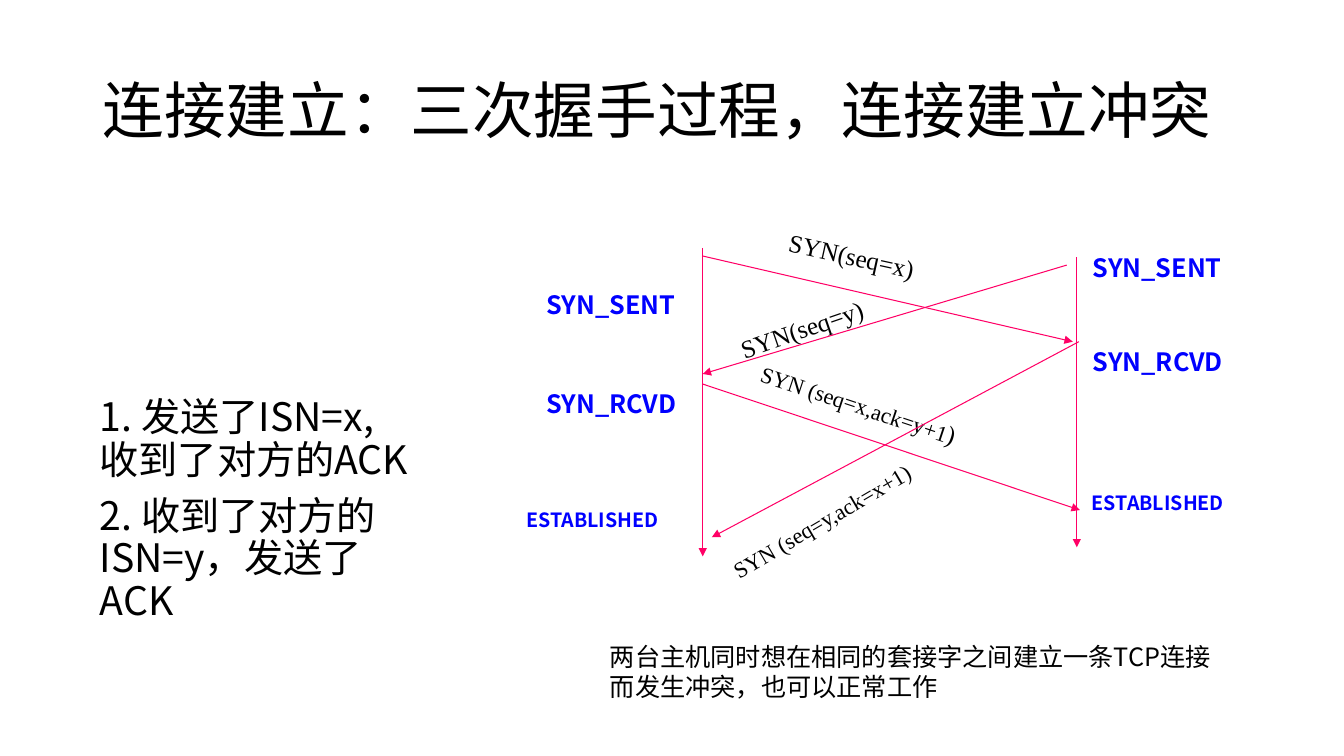
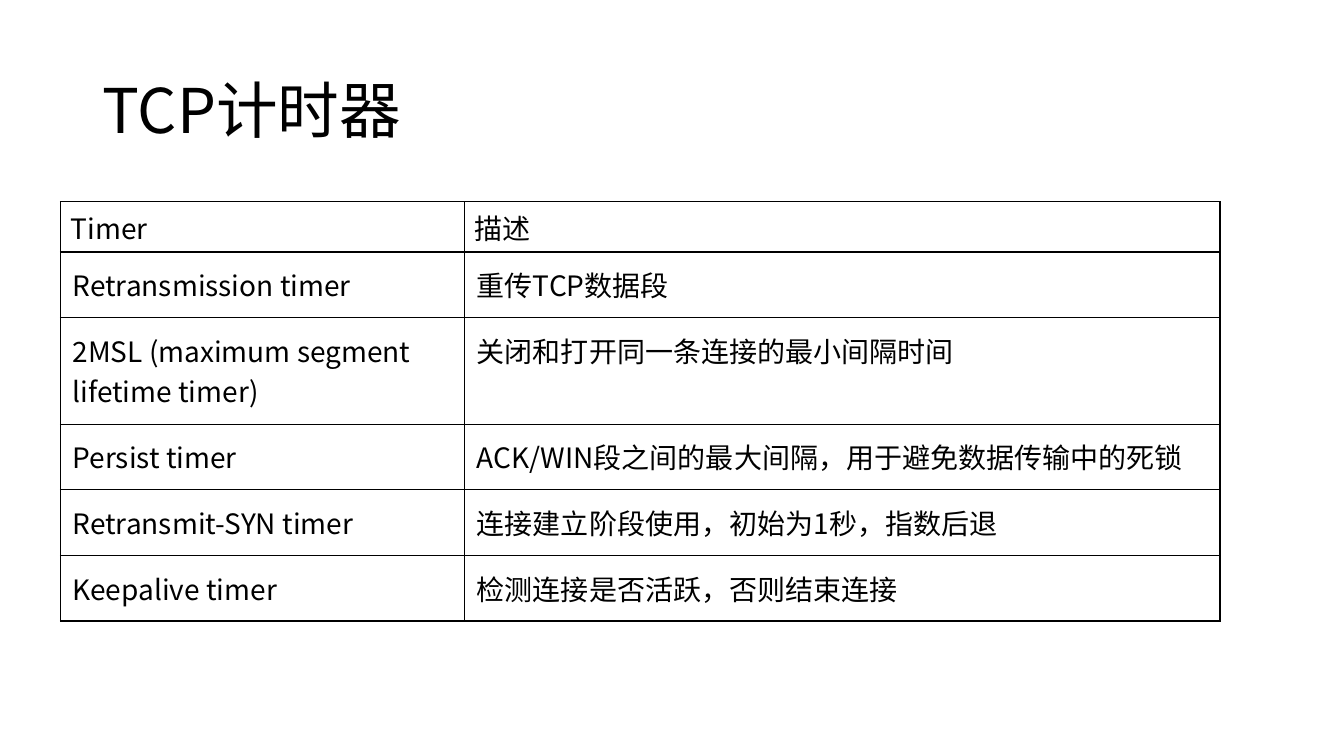
import pptx
import pptx.dml.color
import pptx.enum.shapes
import pptx.enum.text
import pptx.oxml
import pptx.oxml.ns
import pptx.util
from lxml import etree

Inches = pptx.util.Inches
qn = pptx.oxml.ns.qn

COLORS = {"text": "000000", "state": "0000FF", "arrow": "FF0066", "border": "000000"}
SANS = "Noto Sans CJK SC"
SERIF = "Times New Roman"

CLIENT_X, SERVER_X = 6.97, 10.68

# from x, from y, to x, to y
ARROWS = [
    (CLIENT_X, 2.46, CLIENT_X, 5.52),
    (SERVER_X, 2.55, SERVER_X, 5.43),
    (CLIENT_X, 2.54, 10.64, 3.39),
    (10.58, 2.63, CLIENT_X, 3.71),
    (CLIENT_X, 3.81, 10.71, 5.06),
    (10.7, 3.39, 7.06, 5.33),
]

# text runs with sizes, left, top, width, height, rotation
MESSAGES = [
    ([("SYN(seq=x)", 18)], 7.7, 2.49, 2.89, 0.4, 12.4),
    ([("SYN(seq=y)", 18)], 7.19, 2.88, 2.58, 0.4, 341),
    ([("SYN (seq=y,ack=x+1)", 16)], 6.97, 4.65, 3.51, 0.4, 329.6),
    ([("SYN (seq=x,ack=y+1", 16), (")", 18)], 7.37, 4.01, 3.51, 0.44, 18.4),
]

# text, size, left, top
STATES = [
    ("SYN_SENT", 18, 5.32, 2.82),
    ("SYN_RCVD", 18, 5.32, 3.8),
    ("ESTABLISHED", 14, 5.12, 4.99),
    ("SYN_SENT", 18, 10.74, 2.45),
    ("SYN_RCVD", 18, 10.74, 3.39),
    ("ESTABLISHED", 14, 10.73, 4.82),
]

# row height, timer, description
TIMERS = [
    (0.5, "Timer", "描述"),
    (0.65, "Retransmission timer", "重传TCP数据段"),
    (1.06, "2MSL (maximum segment lifetime timer)", "关闭和打开同一条连接的最小间隔时间"),
    (0.65, "Persist timer", "ACK/WIN段之间的最大间隔，用于避免数据传输中的死锁"),
    (0.65, "Retransmit-SYN timer", "连接建立阶段使用，初始为1秒，指数后退"),
    (0.65, "Keepalive timer", "检测连接是否活跃，否则结束连接"),
]


def rgb(name):
    return pptx.dml.color.RGBColor.from_string(COLORS[name])


def style_span(span, size, color="text", font=SANS, bold=False):
    """Format a run, with the same font for Latin and East Asian text."""
    span.font.size = pptx.util.Pt(size)
    span.font.bold = bold
    span.font.color.rgb = rgb(color)
    span.font.name = font
    latin = span.font._element.find(qn("a:latin"))
    east_asian = pptx.oxml.parse_xml(
        f'<a:ea {pptx.oxml.ns.nsdecls("a")} typeface="{font}"/>')
    latin.addnext(east_asian)


def add_box(page, left, top, width, height):
    box = page.shapes.add_textbox(
        Inches(left), Inches(top), Inches(width), Inches(height))
    box.text_frame.word_wrap = True
    return box


def add_text(page, lines, at, size, line_spacing=1.0, space_before=0, **style):
    """Add a box with one paragraph for each line."""
    box = add_box(page, *at)
    box.text_frame.text = "\n".join(lines)
    for index, para in enumerate(box.text_frame.paragraphs):
        para.line_spacing = line_spacing
        if index:
            para.space_before = pptx.util.Pt(space_before)
        for span in para.runs:
            style_span(span, size, **style)
    return box


def add_page(deck, title):
    page = deck.slides.add_slide(deck.slide_layouts[6])
    box = add_text(page, [title], (0.92, 0.4, 11.5, 1.45), 44, line_spacing=0.9)
    box.text_frame.vertical_anchor = pptx.enum.text.MSO_ANCHOR.MIDDLE
    return page


def add_arrow(page, x1, y1, x2, y2):
    arrow = page.shapes.add_connector(
        pptx.enum.shapes.MSO_CONNECTOR.STRAIGHT,
        Inches(x1), Inches(y1), Inches(x2), Inches(y2))
    arrow.line.color.rgb = rgb("arrow")
    arrow.line.width = pptx.util.Pt(0.75)
    etree.SubElement(arrow.line._get_or_add_ln(), qn("a:tailEnd"), type="triangle")
    etree.SubElement(arrow._element.spPr, qn("a:effectLst"))


def add_message(page, spans, left, top, width, height, rotation):
    box = add_box(page, left, top, width, height)
    box.rotation = rotation
    para = box.text_frame.paragraphs[0]
    for text, size in spans:
        span = para.add_run()
        span.text = text
        style_span(span, size, font=SERIF)


def set_borders(cell):
    properties = cell._tc.get_or_add_tcPr()
    for index, side in enumerate(("lnL", "lnR", "lnT", "lnB")):
        properties.insert(index, pptx.oxml.parse_xml(
            f'<a:{side} {pptx.oxml.ns.nsdecls("a")} w="{pptx.util.Pt(1)}">'
            f'<a:solidFill><a:srgbClr val="{COLORS["border"]}"/></a:solidFill>'
            f'</a:{side}>'))


def add_table(page, rows, left, top, widths):
    """Add a table from rows that each hold a height and the cell texts."""
    table = page.shapes.add_table(
        len(rows), len(widths), Inches(left), Inches(top),
        Inches(sum(widths)), Inches(sum(row[0] for row in rows))).table
    table.first_row = table.horz_banding = False
    for column, width in zip(table.columns, widths):
        column.width = Inches(width)
    for row_index, (height, *texts) in enumerate(rows):
        table.rows[row_index].height = Inches(height)
        for column_index, text in enumerate(texts):
            cell = table.cell(row_index, column_index)
            cell.fill.background()
            set_borders(cell)
            if row_index:
                cell.margin_left = cell.margin_right = Inches(0.12)
                cell.margin_top = cell.margin_bottom = Inches(0.12)
            cell.text_frame.text = text
            style_span(cell.text_frame.paragraphs[0].runs[0], 20)


def add_handshake_page(deck):
    page = add_page(deck, "连接建立：三次握手过程，连接建立冲突")
    add_text(page, ["1. 发送了ISN=x,收到了对方的ACK", "2. 收到了对方的ISN=y，发送了ACK"],
             (0.89, 3.9, 3.28, 2.54), 28, line_spacing=0.9, space_before=10)
    for message in MESSAGES:
        add_message(page, *message)
    for arrow in ARROWS:
        add_arrow(page, *arrow)
    for text, size, left, top in STATES:
        add_text(page, [text], (left, top, 1.8, 0.4), size, color="state", bold=True)
    add_text(page, ["两台主机同时想在相同的套接字之间建立一条TCP连接而发生冲突，也可以正常工作"],
             (5.95, 6.31, 6.18, 0.71), 18)


def add_timer_page(deck):
    page = add_page(deck, "TCP计时器")
    add_table(page, TIMERS, 0.6, 2, (4.01, 7.49))


def main():
    deck = pptx.Presentation()
    deck.slide_width, deck.slide_height = Inches(13.33), Inches(7.5)
    add_handshake_page(deck)
    add_timer_page(deck)
    deck.save("out.pptx")


if __name__ == "__main__":
    main()
